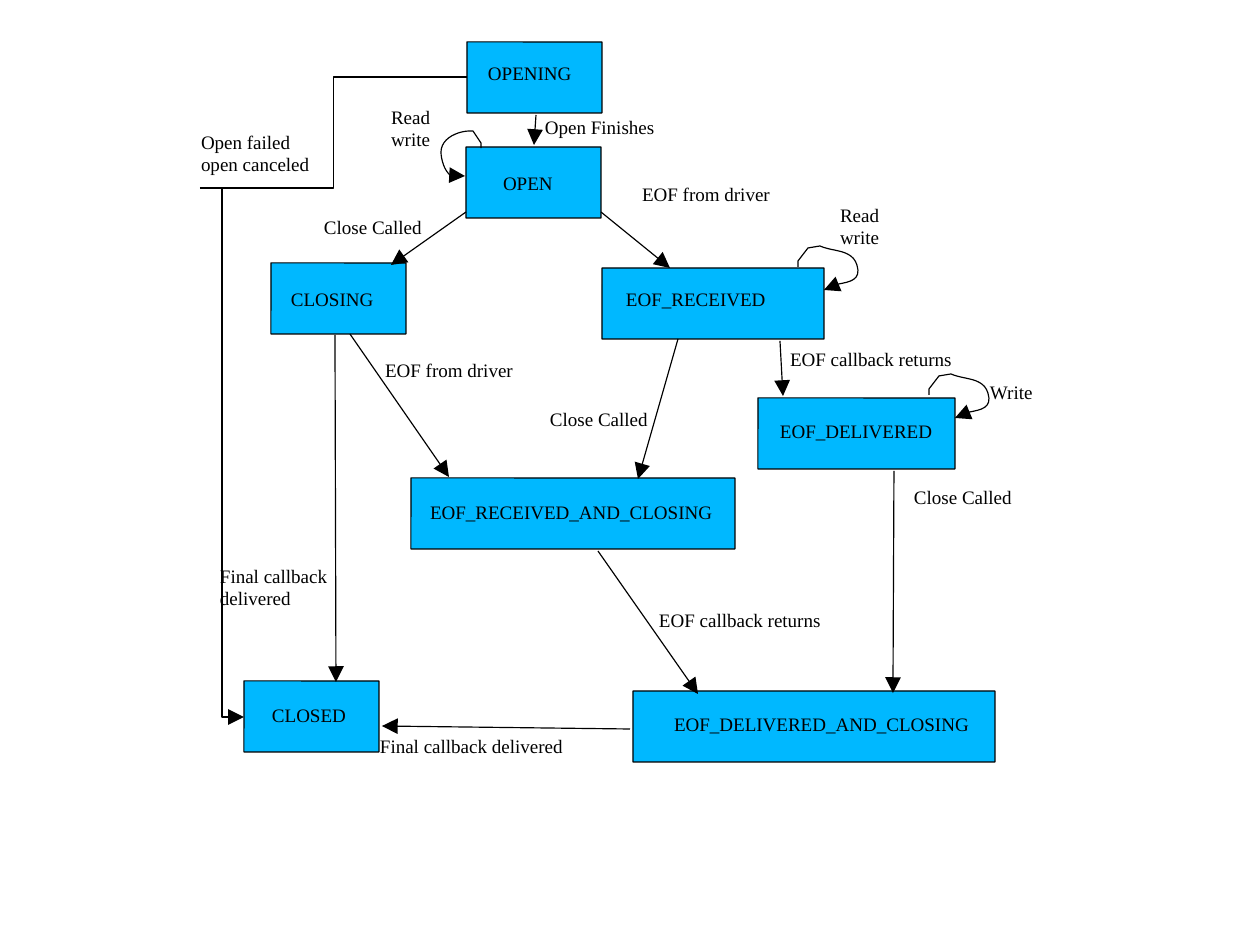
"""Builds a slide with the state diagram of a stream that opens, reads to EOF and closes."""
import lxml.etree
import pptx
import pptx.dml.color
import pptx.enum.shapes
import pptx.enum.text
import pptx.oxml.ns
import pptx.util

PX = 8000
SLIDE_WIDTH = 1260
SLIDE_HEIGHT = 945
FONT = "Times New Roman"
BLACK = "000000"
STATE_BLUE = "00B8FF"
STATE_HEIGHT = 71
LINE_HEIGHT = 22
CURVE_STEPS = 12

# name, left, top, width, label offset x, label offset y, label width
STATES = [
    ("EOF_RECEIVED", 602, 268, 222, 24, 21, 222),
    ("EOF_DELIVERED", 758, 398, 197, 22, 23, 285),
    ("OPENING", 467, 42, 135, 21, 21, 184),
    ("CLOSING", 271, 263, 135, 20, 26, 126),
    ("OPEN", 466, 147, 135, 37, 26, 121),
    ("EOF_RECEIVED_AND_CLOSING", 411, 478, 324, 19, 24, 312),
    ("EOF_DELIVERED_AND_CLOSING", 633, 691, 362, 41, 23, 312),
    ("CLOSED", 244, 681, 135, 28, 24, 167),
]

TRANSITIONS = [
    ((350, 334), (449, 477)),
    ((335, 335), (336, 682)),
    ((630, 729), (382, 726)),
    ((780, 341), (783, 396)),
    ((601, 212), (670, 268)),
    ((466, 212), (391, 265)),
    ((894, 471), (893, 693)),
    ((678, 339), (638, 479)),
    ((536, 115), (534, 145)),
    ((598, 551), (698, 694)),
]

# paragraphs, left, top, width, rendered lines
LABELS = [
    (["Open Finishes"], 545, 117, 185, 1),
    (["EOF from driver"], 642, 184, 185, 1),
    (["Close Called"], 324, 217, 185, 1),
    (["Close Called"], 914, 487, 185, 1),
    (["EOF callback returns"], 790, 349, 185, 1),
    (["Close Called"], 550, 409, 114, 1),
    (["EOF from driver"], 385, 360, 185, 1),
    (["EOF callback returns"], 659, 610, 185, 1),
    (["Final callback delivered"], 380, 736, 185, 1),
    (["Final callback delivered"], 220, 566, 137, 2),
    (["Read", "write"], 391, 107, 185, 2),
    (["Read", "write"], 840, 205, 185, 2),
    (["Write"], 990, 382, 85, 1),
    (["Open failed", "open canceled"], 201, 132, 185, 2),
]

# Each segment holds one point (straight) or three points (cubic curve).
LEFT_LOOP = [
    [(24, 46)],
    [(7, 55), (0, 32), (0, 22)],
    [(0, 8), (18, 0), (32, 1)],
    [(40, 13)],
    [(40, 18)],
]
RIGHT_LOOP = [
    [(26, 44)],
    [(35, 34), (66, 42), (59, 19)],
    [(54, 3), (35, 6), (22, 0)],
    [(10, 2)],
    [(0, 15)],
    [(0, 21)],
]
LOOPS = [(LEFT_LOOP, 441, 130), (RIGHT_LOOP, 798, 246), (RIGHT_LOOP, 929, 374)]


def color(hex_string):
    """Return the RGB colour for a hex string."""
    return pptx.dml.color.RGBColor.from_string(hex_string)


def emu(*lengths):
    """Turn px lengths into EMU."""
    return [round(length * PX) for length in lengths]


def style_line(shape, arrow=None):
    """Give a shape a thin black line, with an arrowhead at the named end."""
    shape.line.color.rgb = color(BLACK)
    shape.line.width = pptx.util.Pt(0.75)
    if arrow:
        line = shape.line._get_or_add_ln()
        lxml.etree.SubElement(line, pptx.oxml.ns.qn(f"a:{arrow}"), type="triangle", w="lg", len="lg")


def add_text(slide, paragraphs, left, top, width, lines=1):
    """Place left-aligned text without margins."""
    box = slide.shapes.add_textbox(*emu(left, top, width, lines * LINE_HEIGHT))
    frame = box.text_frame
    frame.word_wrap = True
    frame.auto_size = pptx.enum.text.MSO_AUTO_SIZE.SHAPE_TO_FIT_TEXT
    frame.margin_left = frame.margin_right = frame.margin_top = frame.margin_bottom = 0
    for index, text in enumerate(paragraphs):
        paragraph = frame.add_paragraph() if index else frame.paragraphs[0]
        paragraph.line_spacing = 0.97
        run = paragraph.add_run()
        run.text = text
        run.font.name = FONT
        run.font.size = pptx.util.Pt(12)
        run.font.color.rgb = color(BLACK)


def add_state(slide, name, left, top, width, label_x, label_y, label_width):
    """Draw one state box with its name inside."""
    shape = slide.shapes.add_shape(
        pptx.enum.shapes.MSO_SHAPE.ROUNDED_RECTANGLE, *emu(left, top, width, STATE_HEIGHT))
    shape.adjustments[0] = 0.003
    shape.shadow.inherit = False
    shape.fill.solid()
    shape.fill.fore_color.rgb = color(STATE_BLUE)
    style_line(shape)
    add_text(slide, [name], left + label_x, top + label_y, label_width)


def add_transition(slide, start, end, kind="STRAIGHT", arrow="tailEnd"):
    """Connect two points with a straight or elbow line."""
    connector = slide.shapes.add_connector(
        pptx.enum.shapes.MSO_CONNECTOR[kind], *emu(*start, *end))
    style_line(connector, arrow)
    properties = connector._element.spPr
    lxml.etree.SubElement(properties, pptx.oxml.ns.qn("a:effectLst"))


def curve_point(points, t):
    """Return the point at t on the cubic curve through four control points."""
    weights = ((1 - t) ** 3, 3 * t * (1 - t) ** 2, 3 * t ** 2 * (1 - t), t ** 3)
    return tuple(sum(w * point[axis] for w, point in zip(weights, points)) for axis in (0, 1))


def add_loop(slide, segments, left, top):
    """Draw a self-transition whose arrowhead sits at its first point."""
    points = list(segments[0])
    for segment in segments[1:]:
        if len(segment) == 1:
            points += segment
        else:
            controls = [points[-1], *segment]
            points += [curve_point(controls, step / CURVE_STEPS) for step in range(1, CURVE_STEPS + 1)]
    points = [emu(left + x, top + y) for x, y in points]
    builder = slide.shapes.build_freeform(*points[0])
    builder.add_line_segments(points[1:], close=False)
    shape = builder.convert_to_shape()
    shape.shadow.inherit = False
    shape.fill.background()
    style_line(shape, "headEnd")


def add_state_diagram(slide):
    """Place the states, transitions, loops and labels."""
    for state in STATES:
        add_state(slide, *state)
    for start, end in TRANSITIONS:
        add_transition(slide, start, end)
    add_transition(slide, (467, 77), (200, 188), "ELBOW", None)
    add_transition(slide, (200, 188), (244, 717), "ELBOW")
    for loop in LOOPS:
        add_loop(slide, *loop)
    for label in LABELS:
        add_text(slide, *label)


def main():
    """Build and save the presentation."""
    presentation = pptx.Presentation()
    presentation.slide_width = SLIDE_WIDTH * PX
    presentation.slide_height = SLIDE_HEIGHT * PX
    slide = presentation.slides.add_slide(presentation.slide_layouts[6])
    add_state_diagram(slide)
    presentation.save("out.pptx")


if __name__ == "__main__":
    main()
